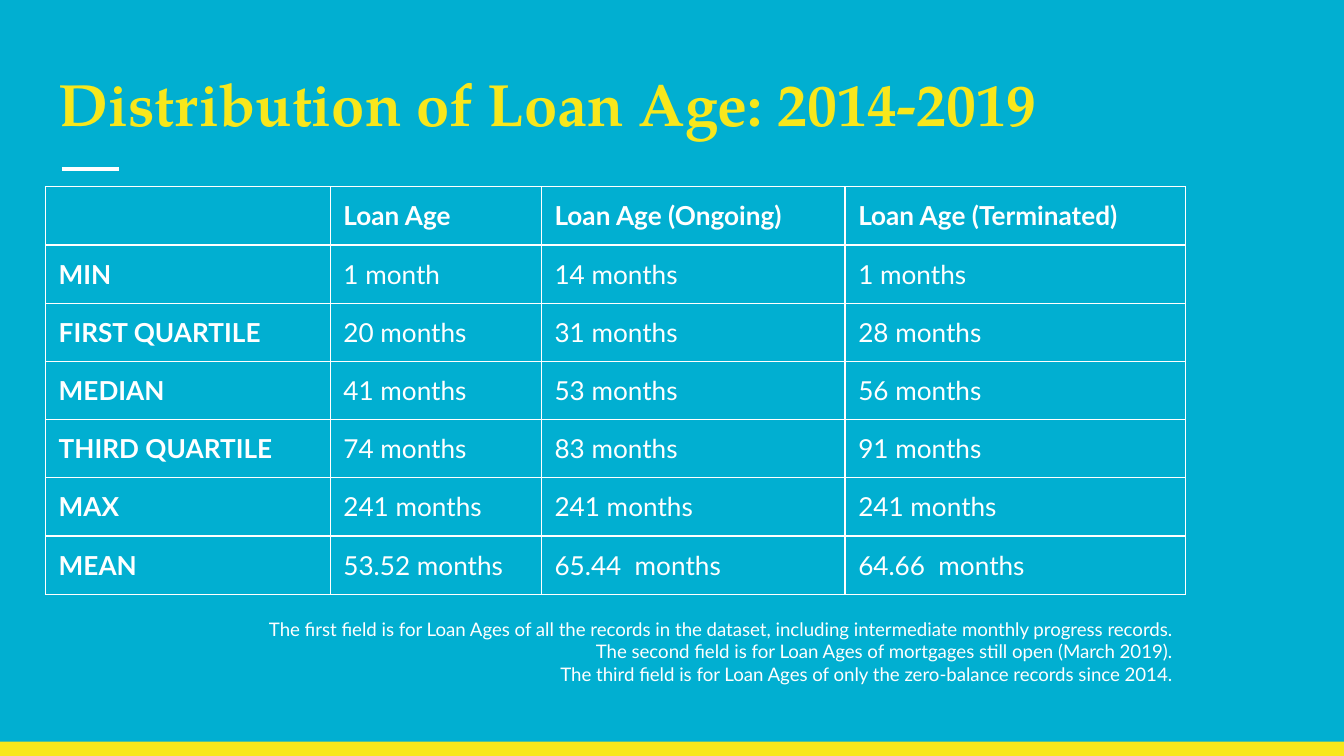
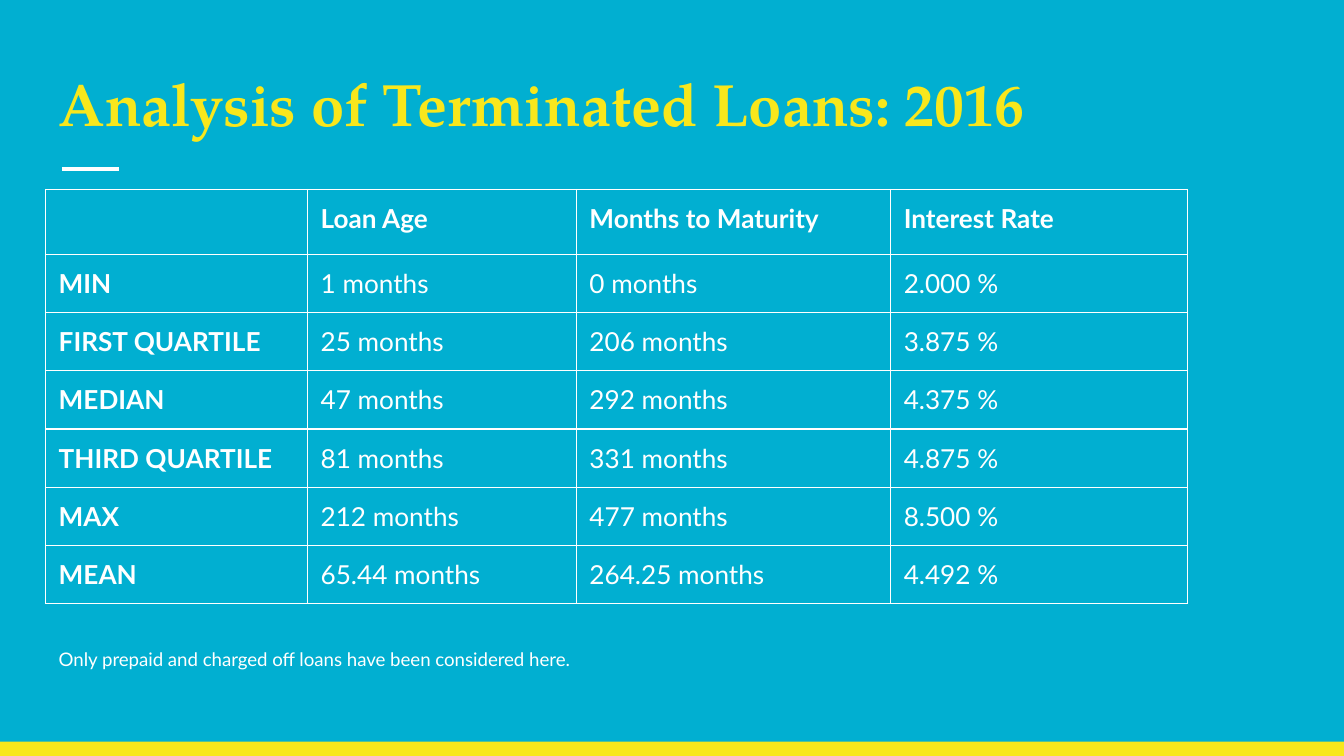
"""Build two slides of loan statistics tables."""
import lxml.etree
import pptx
import pptx.dml.color
import pptx.enum.shapes
import pptx.enum.text
import pptx.oxml.ns
import pptx.util

Cm = pptx.util.Cm
Pt = pptx.util.Pt
qn = pptx.oxml.ns.qn
ALIGN = pptx.enum.text.PP_ALIGN
ANCHOR = pptx.enum.text.MSO_ANCHOR

TEAL = pptx.dml.color.RGBColor(0x01, 0xAF, 0xD1)
YELLOW = pptx.dml.color.RGBColor(0xF8, 0xE7, 0x1C)
WHITE = pptx.dml.color.RGBColor(0xFF, 0xFF, 0xFF)
HEADING_FONT = "TeX Gyre Pagella"
BODY_FONT = "Lato"
INSET = Cm(0.25)
LEFT = Cm(0.86)
ROW_HEIGHT = Cm(1.1)
STATISTICS = ["MIN", "FIRST QUARTILE", "MEDIAN", "THIRD QUARTILE", "MAX", "MEAN"]

SLIDES = [
    {
        "title": "Distribution of Loan Age: 2014-2019",
        "layout": 5,
        "top": 3.53,
        "header_height": 1.1,
        "widths": [5.38, 3.99, 5.74, 6.43],
        "columns": {
            "Loan Age": ["1 month", "20 months", "41 months", "74 months",
                         "241 months", "53.52 months"],
            "Loan Age (Ongoing)": ["14 months", "31 months", "53 months", "83 months",
                                   "241 months", "65.44  months"],
            "Loan Age (Terminated)": ["1 months", "28 months", "56 months", "91 months",
                                      "241 months", "64.66  months"],
        },
        "note": [
            "The first field is for Loan Ages of all the records in the dataset, "
            "including intermediate monthly progress records.",
            "The second field is for Loan Ages of mortgages still open (March 2019).",
            "The third field is for Loan Ages of only the zero-balance records since 2014.",
        ],
        "note_box": [3.96, 11.43, 18.44, 2.13],
        "note_format": {"align": ALIGN.RIGHT},
    },
    {
        "title": "Analysis of Terminated Loans: 2016",
        "layout": 1,
        "top": 3.58,
        "header_height": 1.23,
        "widths": [4.95, 5.08, 5.94, 5.61],
        "columns": {
            "Loan Age": ["1 months", "25 months", "47 months", "81 months",
                         "212 months", "65.44 months"],
            "Months to Maturity": ["0 months", "206 months", "292 months", "331 months",
                                   "477 months", "264.25 months"],
            "Interest Rate": ["2.000 %", "3.875 %", "4.375 %", "4.875 %",
                              "8.500 %", "4.492 %"],
        },
        "note": ["Only prepaid and charged off loans have been considered here."],
        "note_box": [0.86, 11.94, 14.25, 0.64],
        "note_format": {"line_spacing": 1.15, "space_after": 16},
    },
]


def write(frame, lines, size=14, font=BODY_FONT, color=WHITE, bold=False,
          align=ALIGN.LEFT, line_spacing=1.0, space_after=0):
    """Fill a text frame with one plain paragraph per line."""
    for index, line in enumerate(lines):
        paragraph = frame.add_paragraph() if index else frame.paragraphs[0]
        paragraph.alignment = align
        paragraph.line_spacing = line_spacing
        paragraph.space_before = Pt(0)
        paragraph.space_after = Pt(space_after)
        properties = paragraph._p.get_or_add_pPr()
        properties.set("marL", "0")
        properties.set("indent", "0")
        lxml.etree.SubElement(properties, qn("a:buNone"))
        if line:
            run = paragraph.add_run()
            run.text = line
            run.font.size = Pt(size)
            run.font.name = font
            run.font.bold = bold
            run.font.color.rgb = color
        lxml.etree.SubElement(paragraph._p, qn("a:endParaRPr"), sz=str(size * 100))


def fit(shape, left, top, width, height, anchor):
    """Place a text shape and set its margins and anchor."""
    shape.left, shape.top, shape.width, shape.height = left, top, width, height
    frame = shape.text_frame
    frame.word_wrap = True
    frame.auto_size = pptx.enum.text.MSO_AUTO_SIZE.NONE
    frame.vertical_anchor = anchor
    frame.margin_left = frame.margin_right = INSET
    frame.margin_top = frame.margin_bottom = INSET
    return frame


deck = pptx.Presentation()
deck.slide_width = Cm(25.4)
deck.slide_height = Cm(14.29)
backdrop = deck.slide_master.background.fill
backdrop.solid()
backdrop.fore_color.rgb = TEAL

for content in SLIDES:
    slide = deck.slides.add_slide(deck.slide_layouts[content["layout"]])

    band = slide.shapes.add_shape(pptx.enum.shapes.MSO_SHAPE.RECTANGLE,
                                  0, Cm(14.02), deck.slide_width, Cm(0.27))
    band.shadow.inherit = False
    band.fill.solid()
    band.fill.fore_color.rgb = YELLOW
    band.line.fill.background()

    title_rule = slide.shapes.add_connector(pptx.enum.shapes.MSO_CONNECTOR.STRAIGHT,
                                            Cm(1.17), Cm(3.2), Cm(2.24), Cm(3.2))
    title_rule.line.color.rgb = WHITE
    title_rule.line.width = Pt(2.25)
    lxml.etree.SubElement(title_rule._element.spPr, qn("a:effectLst"))

    heading = fit(slide.shapes.title, LEFT, Cm(1.04), Cm(24), Cm(1.8), ANCHOR.MIDDLE)
    write(heading, [content["title"]], size=32, font=HEADING_FONT, color=YELLOW, bold=True)

    note_place = [Cm(length) for length in content["note_box"]]
    if len(slide.placeholders) > 1:
        note = slide.placeholders[1]
    else:
        note = slide.shapes.add_textbox(*note_place)
    write(fit(note, *note_place, ANCHOR.TOP), content["note"], size=10,
          **content["note_format"])

    columns = content["columns"]
    rows = [["", *columns], *zip(STATISTICS, *columns.values())]
    widths = [Cm(width) for width in content["widths"]]
    statistics = slide.shapes.add_table(len(rows), len(widths), LEFT, Cm(content["top"]),
                                        sum(widths), ROW_HEIGHT * len(rows)).table
    statistics.first_row = False
    statistics.horz_banding = False
    for column, width in zip(statistics.columns, widths):
        column.width = width
    for row in statistics.rows:
        row.height = ROW_HEIGHT
    statistics.rows[0].height = Cm(content["header_height"])

    for r, values in enumerate(rows):
        for c, value in enumerate(values):
            cell = statistics.cell(r, c)
            cell.margin_left = cell.margin_right = INSET
            cell.margin_top = cell.margin_bottom = INSET
            write(cell.text_frame, [value], bold=r == 0 or c == 0)
            for side in ("lnL", "lnR", "lnT", "lnB"):
                border = lxml.etree.SubElement(cell._tc.get_or_add_tcPr(), qn("a:" + side),
                                               w=str(Pt(0.75)))
                paint = lxml.etree.SubElement(border, qn("a:solidFill"))
                lxml.etree.SubElement(paint, qn("a:srgbClr"), val=str(WHITE))
            cell.fill.background()

deck.save("out.pptx")
